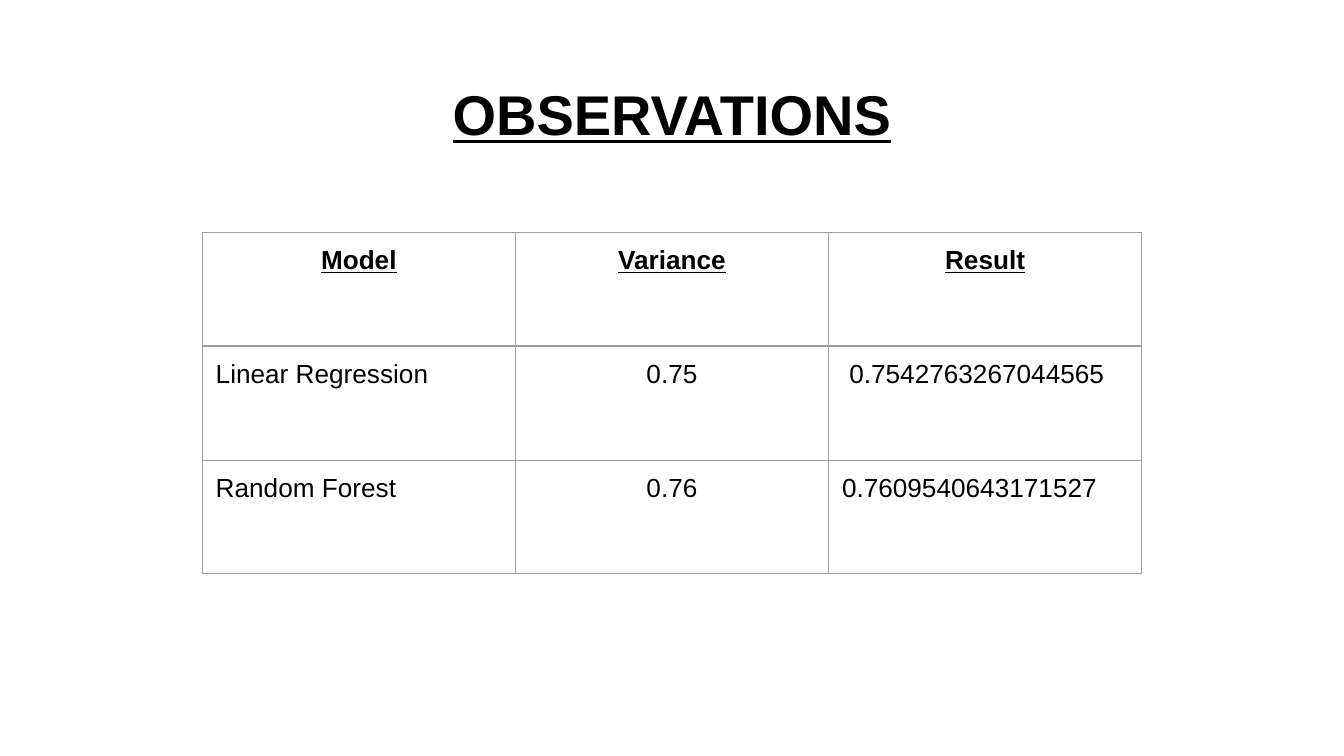
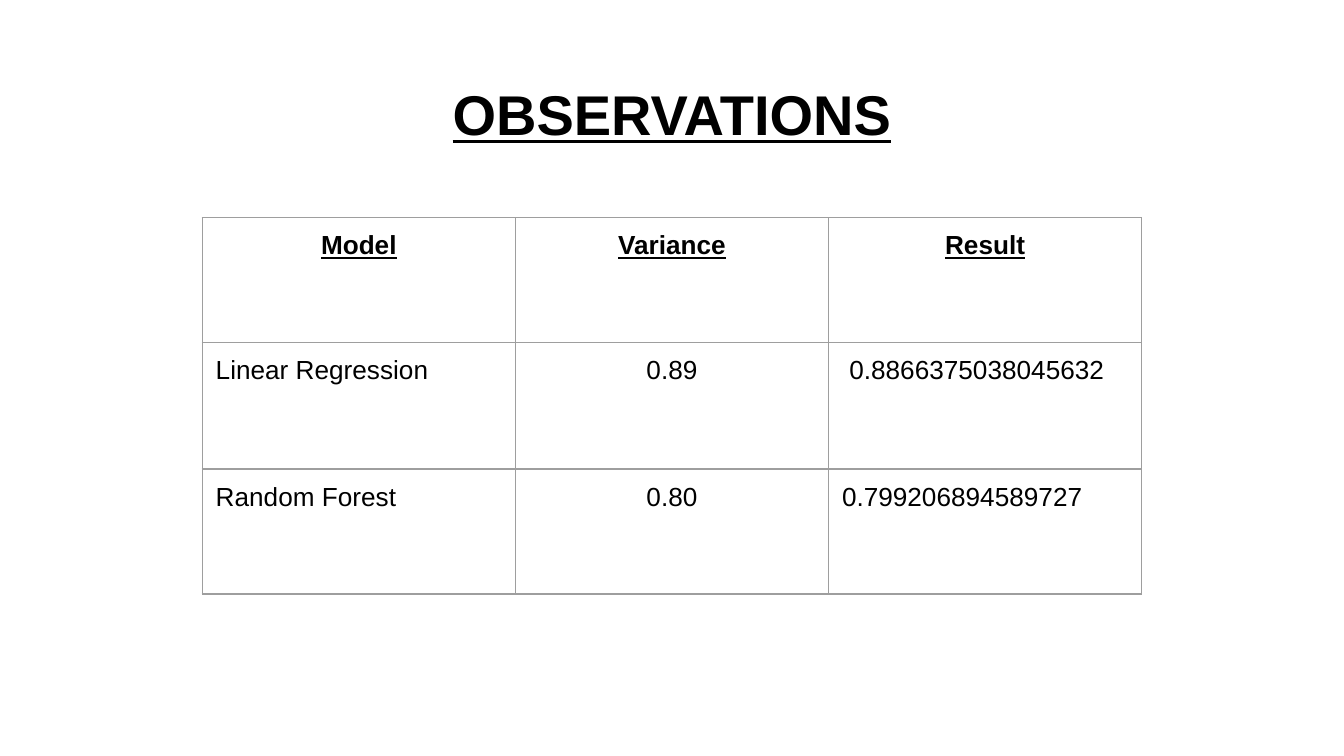
"""Builds two slides of model observations, each a title over a results table."""
from lxml import etree
from pptx import Presentation
from pptx.dml.color import RGBColor
from pptx.enum.text import MSO_ANCHOR, PP_ALIGN
from pptx.oxml.ns import qn
from pptx.util import Pt

PX = 4572
LEFT, CENTER = PP_ALIGN.LEFT, PP_ALIGN.CENTER
TOP = MSO_ANCHOR.TOP
BLACK, GREY = "000000", "9E9E9E"
COL_W = 466
INSET = 20 * PX
INSETS = {"margin_left": INSET, "margin_right": INSET,
          "margin_top": INSET, "margin_bottom": INSET}
FRAME = {**INSETS, "word_wrap": True, "vertical_anchor": TOP}
TITLE = {"name": "Arial", "size": Pt(30), "bold": True, "underline": True}
HEAD = {**TITLE, "size": Pt(14)}
BODY = {"name": "Arial", "size": Pt(14), "bold": False, "underline": False}
HEADERS = ["Model", "Variance", "Result"]
SLIDES = [
    (346, [169, 170, 169],
     [["Linear Regression", "0.75", " 0.7542763267044565"],
      ["Random Forest", "0.76", "0.7609540643171527"]]),
    (324, [186, 188, 186],
     [["Linear Regression", "0.89", " 0.8866375038045632"],
      ["Random Forest", "0.80", "0.799206894589727"]]),
]


def write(tf, text, align, font):
    p = tf.paragraphs[0]
    p.alignment = align
    r = p.add_run()
    r.text = text
    for key, value in font.items():
        setattr(r.font, key, value)
    r.font.color.rgb = RGBColor.from_string(BLACK)


def add_borders(cell, color):
    tcPr = cell._tc.get_or_add_tcPr()
    for i, side in enumerate(("lnL", "lnR", "lnT", "lnB")):
        ln = etree.Element(qn("a:" + side), w=str(Pt(0.75)))
        fill = etree.SubElement(ln, qn("a:solidFill"))
        etree.SubElement(fill, qn("a:srgbClr"), val=color)
        tcPr.insert(i, ln)


prs = Presentation()
prs.slide_width, prs.slide_height = 2000 * PX, 1125 * PX

for top, heights, results in SLIDES:
    s = prs.slides.add_slide(prs.slide_layouts[6])
    sp = s.shapes.add_textbox(68 * PX, 98 * PX, 1864 * PX, 126 * PX)
    tf = sp.text_frame
    for key, value in FRAME.items():
        setattr(tf, key, value)
    write(tf, "OBSERVATIONS", CENTER, TITLE)

    rows = [HEADERS] + results
    tbl = s.shapes.add_table(len(rows), len(HEADERS), 301 * PX, top * PX,
                             COL_W * len(HEADERS) * PX, sum(heights) * PX).table
    tbl.first_row = tbl.horz_banding = False
    for col in tbl.columns:
        col.width = COL_W * PX
    for i, (height, texts) in enumerate(zip(heights, rows)):
        tbl.rows[i].height = height * PX
        for j, text in enumerate(texts):
            cell = tbl.cell(i, j)
            for key, value in INSETS.items():
                setattr(cell, key, value)
            cell.fill.background()
            add_borders(cell, GREY)
            align = CENTER if i == 0 or j == 1 else LEFT
            write(cell.text_frame, text, align, BODY if i else HEAD)

prs.save("out.pptx")
